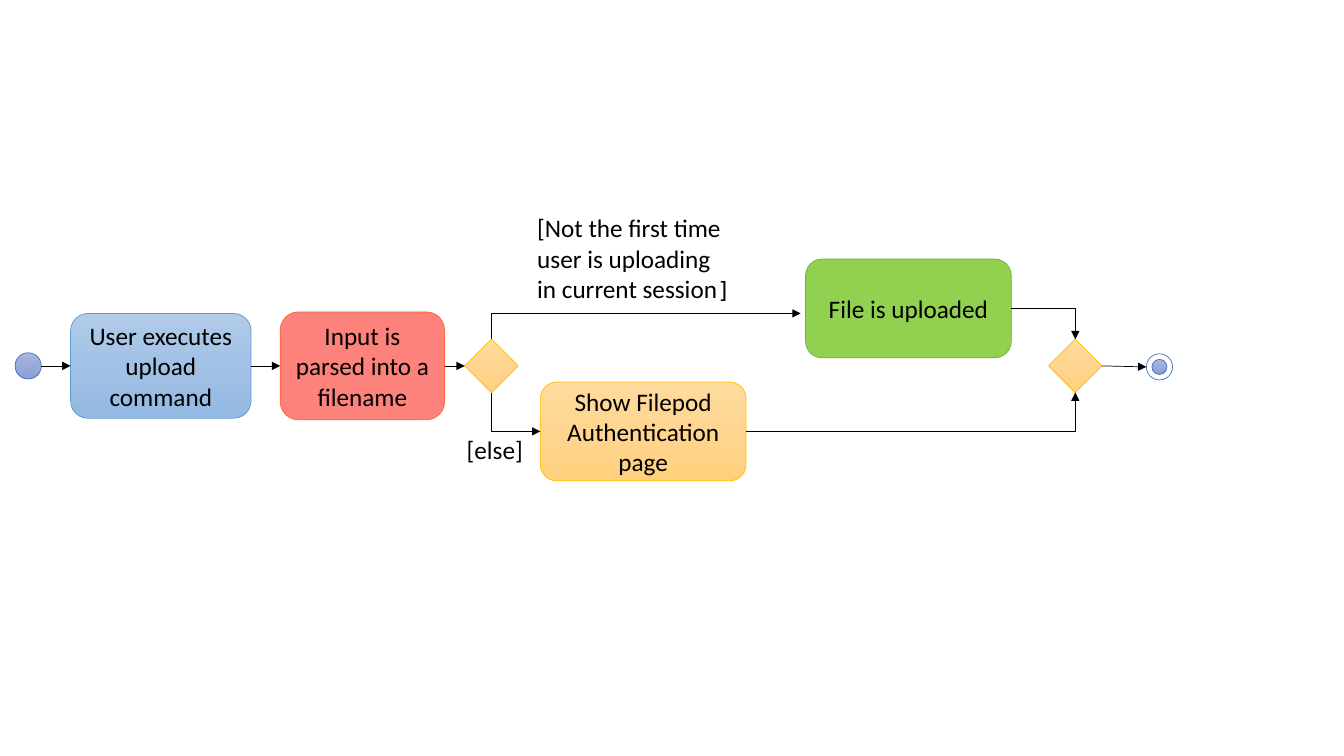
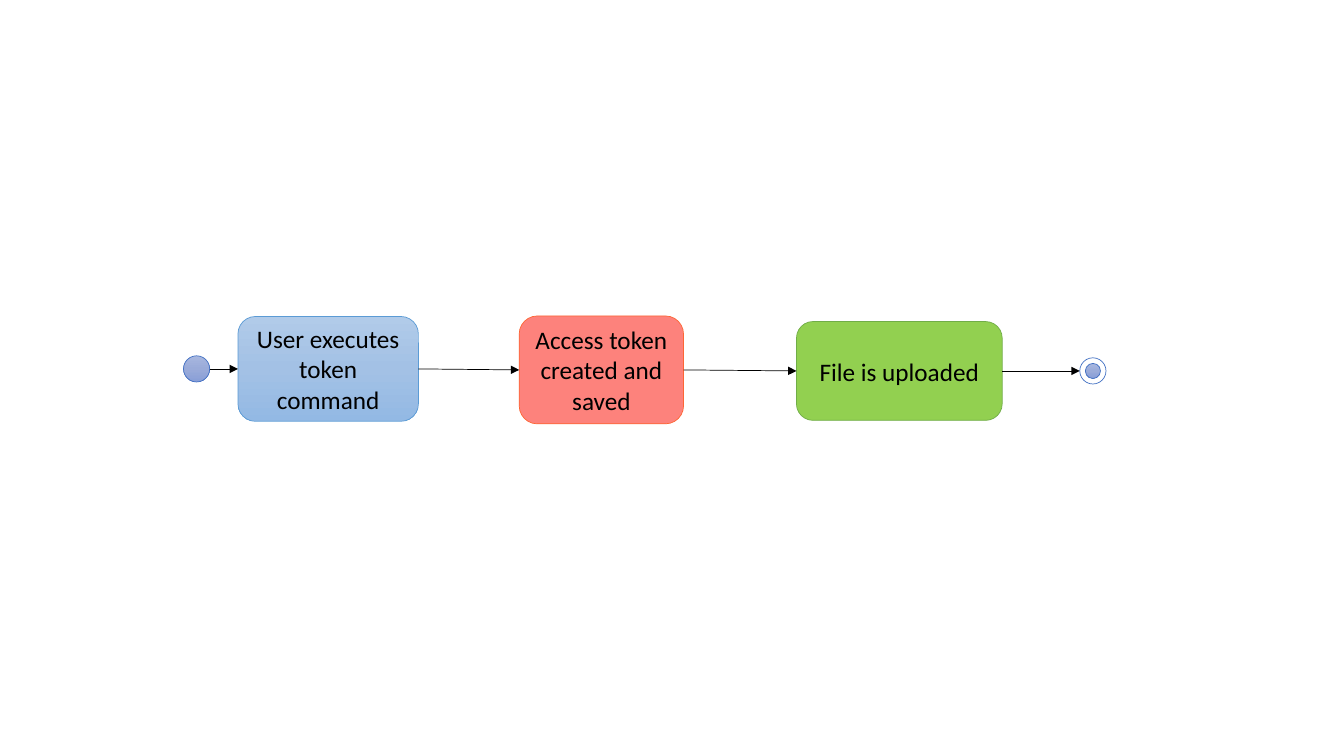
"""Build two activity diagrams: the upload command and the token command."""
from lxml.etree import SubElement
from copy import deepcopy
from pptx import Presentation
from pptx.dml.color import RGBColor
from pptx.enum.shapes import MSO_CONNECTOR, MSO_SHAPE
from pptx.enum.text import MSO_ANCHOR, MSO_AUTO_SIZE, PP_ALIGN
from pptx.oxml.ns import qn
from pptx.util import Inches, Pt

COLORS = {
    "black": "000000", "white": "FFFFFF",
    "blue line": "5B9BD5", "indigo line": "4472C4", "amber line": "FFC000",
    "red": "FD827C", "red line": "FD6636",
    "green": "92D050", "green line": "70AD47",
    "blue 1": "B1CBE9", "blue 2": "A3C1E5", "blue 3": "93B9E4",
    "indigo 1": "A8B7DF", "indigo 2": "9AABD9", "indigo 3": "889ED7",
    "amber 1": "FFDB9E", "amber 2": "FFD590", "amber 3": "FFD07C",
}
BLUE = ["blue 1", "blue 2", "blue 3"]
INDIGO = ["indigo 1", "indigo 2", "indigo 3"]
AMBER = ["amber 1", "amber 2", "amber 3"]
FONT = "Calibri"

STYLES = {
    "start": (MSO_SHAPE.OVAL, 0.26, 0.26, INDIGO, "indigo line"),
    "ring": (MSO_SHAPE.OVAL, 0.26, 0.26, ["white"], "indigo line"),
    "dot": (MSO_SHAPE.OVAL, 0.15, 0.15, INDIGO, "indigo line"),
    "command": (MSO_SHAPE.ROUNDED_RECTANGLE, 1.79, 1.04, BLUE, "blue line"),
    "process": (MSO_SHAPE.ROUNDED_RECTANGLE, 1.63, 1.07, ["red"], "red line"),
    "result": (MSO_SHAPE.ROUNDED_RECTANGLE, 2.04, 0.98, ["green"], "green line"),
    "page": (MSO_SHAPE.ROUNDED_RECTANGLE, 2.04, 0.98, AMBER, "amber line"),
    "choice": (MSO_SHAPE.DIAMOND, 0.53, 0.53, AMBER, "amber line"),
}

DIAGRAMS = [
    {
        "nodes": {
            "start": ("start", 0.15, 3.63, ""),
            "command": ("command", 0.7, 3.63, "User executes upload command"),
            "parse": ("process", 2.78, 3.63, "Input is parsed into a filename"),
            "split": ("choice", 4.61, 3.63, ""),
            "login": ("page", 5.36, 4.28, "Show Filepod Authentication page"),
            "upload": ("result", 7.99, 3.06, "File is uploaded"),
            "merge": ("choice", 10.4, 3.63, ""),
            "end": ("ring", 11.37, 3.64, ""),
        },
        "straight": [("start", "command"), ("command", "parse"),
                     ("parse", "split"), ("merge", "end")],
        "bent": [
            (("split", "bottom"), ("login", "left")),
            (("split", "top"), (7.94, 3.11)),
            (("upload", "right"), ("merge", "top")),
            (("login", "right"), ("merge", "bottom")),
        ],
        "labels": [
            (5.23, 2.06, 2.16, 1.01,
             [("[Not the first time user is uploading in current session", FONT, 18),
              ("]", "DejaVu Sans Mono", 16)]),
            (4.53, 4.26, 0.79, 0.4, [("[else]", FONT, 18)]),
        ],
    },
    {
        "nodes": {
            "start": ("start", 1.82, 3.66, ""),
            "command": ("command", 2.36, 3.66, "User executes token command"),
            "token": ("process", 5.15, 3.67, "Access token created and saved"),
            "upload": ("result", 7.9, 3.68, "File is uploaded"),
            "end": ("ring", 10.71, 3.68, ""),
        },
        "straight": [("start", "command"), ("command", "token"),
                     ("token", "upload"), ("upload", "end")],
        "bent": [],
        "labels": [],
    },
]


def rgb(name):
    return RGBColor.from_string(COLORS[name])


def paint(fill, names):
    if len(names) == 1:
        fill.solid()
        fill.fore_color.rgb = rgb(names[0])
        return
    fill.gradient()
    fill.gradient_angle = 270
    first = fill.gradient_stops[0]._gs
    first.addnext(deepcopy(first))
    for index, (stop, name) in enumerate(zip(fill.gradient_stops, names)):
        stop.position = index / (len(names) - 1)
        stop.color.rgb = rgb(name)


def add_span(para, text, font=FONT, size=18):
    span = para.add_run()
    span.text = text
    span.font.name = font
    span.font.size = Pt(size)
    span.font.color.rgb = rgb("black")


def add_node(shapes, style, left, middle, text=""):
    kind, width, height, fill, line = STYLES[style]
    box = shapes.add_shape(kind, Inches(left), Inches(middle - height / 2),
                           Inches(width), Inches(height))
    box.shadow.inherit = False
    paint(box.fill, fill)
    box.line.color.rgb = rgb(line)
    box.line.width = Pt(0.5)
    if text:
        box.text_frame.word_wrap = True
        box.text_frame.vertical_anchor = MSO_ANCHOR.MIDDLE
        para = box.text_frame.paragraphs[0]
        para.alignment = PP_ALIGN.CENTER
        add_span(para, text)


def add_end(page, left, middle):
    group = page.shapes.add_group_shape()
    inset = (STYLES["ring"][1] - STYLES["dot"][1]) / 2
    add_node(group.shapes, "ring", left, middle)
    add_node(group.shapes, "dot", left + inset, middle)


def add_label(page, left, top, width, height, spans):
    box = page.shapes.add_textbox(Inches(left), Inches(top), Inches(width), Inches(height))
    box.text_frame.word_wrap = True
    box.text_frame.auto_size = MSO_AUTO_SIZE.SHAPE_TO_FIT_TEXT
    for text, font, size in spans:
        add_span(box.text_frame.paragraphs[0], text, font, size)


def port(node, side):
    style, left, middle, _ = node
    _, width, height, _, _ = STYLES[style]
    return {
        "left": (left, middle),
        "right": (left + width, middle),
        "top": (left + width / 2, middle - height / 2),
        "bottom": (left + width / 2, middle + height / 2),
    }[side]


def add_arrow(page, start, end, kind=MSO_CONNECTOR.STRAIGHT):
    arrow = page.shapes.add_connector(kind, *(Inches(value) for value in (*start, *end)))
    arrow.line.color.rgb = rgb("black")
    arrow.line.width = Pt(0.5)
    SubElement(arrow.line._get_or_add_ln(), qn("a:tailEnd"), type="triangle")
    SubElement(arrow._element.spPr, qn("a:effectLst"))
    return arrow


def add_bend(page, start, end, vertical_first):
    arrow = add_arrow(page, start, end, MSO_CONNECTOR.ELBOW)
    properties = arrow._element.spPr
    properties.find(qn("a:prstGeom")).set("prst", "bentConnector2")
    if vertical_first:
        rises = end[1] < start[1]
        across, down = abs(end[0] - start[0]), abs(end[1] - start[1])
        arrow.left = Inches((start[0] + end[0] - down) / 2)
        arrow.top = Inches((start[1] + end[1] - across) / 2)
        arrow.width, arrow.height = Inches(down), Inches(across)
        frame = properties.find(qn("a:xfrm"))
        frame.set("rot", str((90 if rises else 270) * 60000))
        frame.set("flipH", "1")
        frame.set("flipV", "1" if rises else "0")


def add_diagram(page, diagram):
    nodes = diagram["nodes"]
    for style, left, middle, text in nodes.values():
        if style == "ring":
            add_end(page, left, middle)
        else:
            add_node(page.shapes, style, left, middle, text)
    for source, target in diagram["straight"]:
        add_arrow(page, port(nodes[source], "right"), port(nodes[target], "left"))
    for (source, side), target in diagram["bent"]:
        end = port(nodes[target[0]], target[1]) if target[0] in nodes else target
        add_bend(page, port(nodes[source], side), end, side in ("top", "bottom"))
    for label in diagram["labels"]:
        add_label(page, *label)


deck = Presentation()
deck.slide_width, deck.slide_height = Inches(13.33), Inches(7.5)
for diagram in DIAGRAMS:
    add_diagram(deck.slides.add_slide(deck.slide_layouts[6]), diagram)
deck.save("out.pptx")
